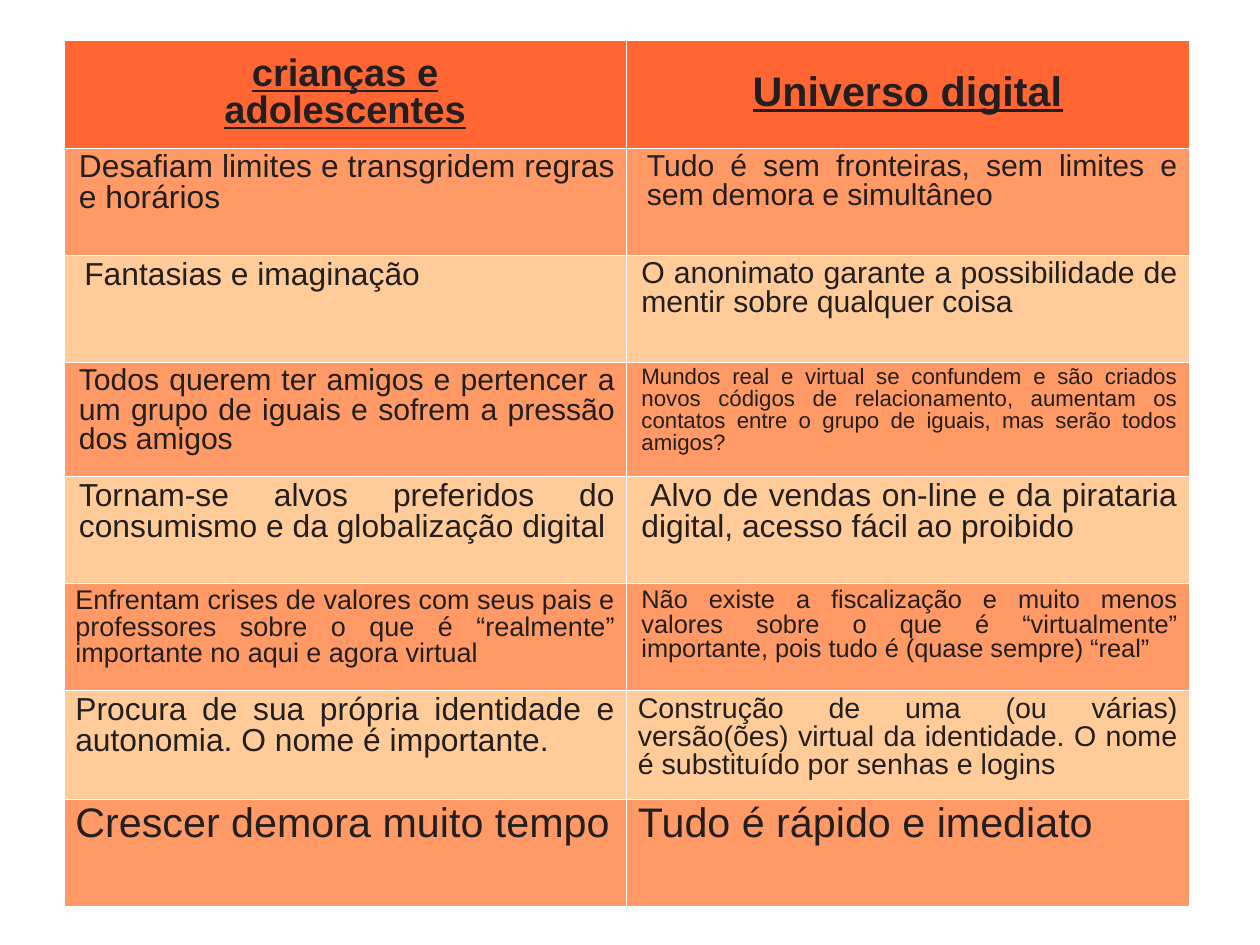
"""Slide comparing children and adolescents with the digital universe."""
from lxml.etree import SubElement
from pptx import Presentation
from pptx.dml.color import RGBColor
from pptx.enum.text import MSO_ANCHOR as Anchor, PP_ALIGN as Align
from pptx.oxml.ns import qn
from pptx.util import Cm, Pt

COLORS = {
    "header": "FF6633",
    "odd": "FF9966",
    "even": "FFCC99",
    "text": "231F20",
    "border": "FFFFFF",
}
HEADINGS = [
    (["crianças e", "adolescentes"], 24),
    (["Universo digital"], 26),
]
# Each entry: text, size in points, left margin and first-line indent in cm
COMPARISONS = [
    [("Desafiam limites e transgridem regras e horários", 20, 0.08, 0),
     ("Tudo é sem fronteiras, sem limites e sem demora e simultâneo", 19, 0.2, 0)],
    [("Fantasias e imaginação", 20, 0.68, -0.48),
     ("O anonimato garante a possibilidade de mentir sobre qualquer coisa", 19, 0.08, 0)],
    [("Todos querem ter amigos e pertencer a um grupo de iguais e sofrem "
      "a pressão dos amigos", 19, 0.08, 0),
     ("Mundos real e virtual se confundem e são criados novos códigos de "
      "relacionamento, aumentam os contatos entre o grupo de iguais, mas "
      "serão todos amigos?", 14, 0.08, 0)],
    [("Tornam-se alvos preferidos do consumismo e da globalização digital", 20, 0.08, 0),
     ("Alvo de vendas on-line e da pirataria digital, acesso fácil ao proibido",
      20, 0.08, 0.2)],
    [("Enfrentam crises de valores com seus pais e professores sobre o que é "
      "“realmente” importante no aqui e agora virtual", 17, 0, 0),
     ("Não existe a fiscalização e muito menos valores sobre o que é "
      "“virtualmente” importante, pois tudo é (quase sempre) “real”", 16, 0.08, 0)],
    [("Procura de sua própria identidade e autonomia. O nome é importante.", 20, 0, 0),
     ("Construção de uma (ou várias) versão(ões) virtual da identidade. "
      "O nome é substituído por senhas e logins", 18, 0, 0)],
    [("Crescer demora muito tempo", 26, 0, 0),
     ("Tudo é rápido e imediato", 26, 0, 0)],
]
ROW_HEIGHTS = [2.38, 2.38, 2.38, 2.54, 2.38, 2.38, 2.42, 2.38]


def style_cell(cell, color):
    properties = cell._tc.get_or_add_tcPr()
    for side in ("lnL", "lnR", "lnT", "lnB"):
        border = SubElement(properties, qn(f"a:{side}"), w=str(Pt(0.06)))
        border_fill = SubElement(border, qn("a:solidFill"))
        SubElement(border_fill, qn("a:srgbClr"), val=COLORS["border"])
    cell.fill.solid()
    cell.fill.fore_color.rgb = RGBColor.from_string(COLORS[color])


def write_line(paragraph, text, size, align, heading):
    paragraph.alignment = align
    paragraph.line_spacing = 0.87
    run = paragraph.add_run()
    run.text = text
    run.font.name = "Arial"
    run.font.size = Pt(size)
    run.font.bold = heading
    run.font.underline = heading
    run.font.color.rgb = RGBColor.from_string(COLORS["text"])


prs = Presentation()
prs.slide_width, prs.slide_height = Cm(28), Cm(21)
slide = prs.slides.add_slide(prs.slide_layouts[6])

comparison = slide.shapes.add_table(
    len(ROW_HEIGHTS), 2, Cm(1.42), Cm(0.9), Cm(25), Cm(sum(ROW_HEIGHTS))).table
for column in comparison.columns:
    column.width = Cm(12.5)
for row, height in zip(comparison.rows, ROW_HEIGHTS):
    row.height = Cm(height)

for col, (lines, size) in enumerate(HEADINGS):
    cell = comparison.cell(0, col)
    style_cell(cell, "header")
    cell.vertical_anchor = Anchor.MIDDLE
    for index, line in enumerate(lines):
        frame = cell.text_frame
        paragraph = frame.add_paragraph() if index else frame.paragraphs[0]
        write_line(paragraph, line, size, Align.CENTER, True)

for row, pair in enumerate(COMPARISONS, start=1):
    for col, (text, size, margin, indent) in enumerate(pair):
        cell = comparison.cell(row, col)
        style_cell(cell, "odd" if row % 2 else "even")
        paragraph = cell.text_frame.paragraphs[0]
        write_line(paragraph, text, size, Align.JUSTIFY, False)
        indents = paragraph._p.get_or_add_pPr()
        indents.set("marL", str(Cm(margin)))
        indents.set("indent", str(Cm(indent)))

prs.save("out.pptx")
